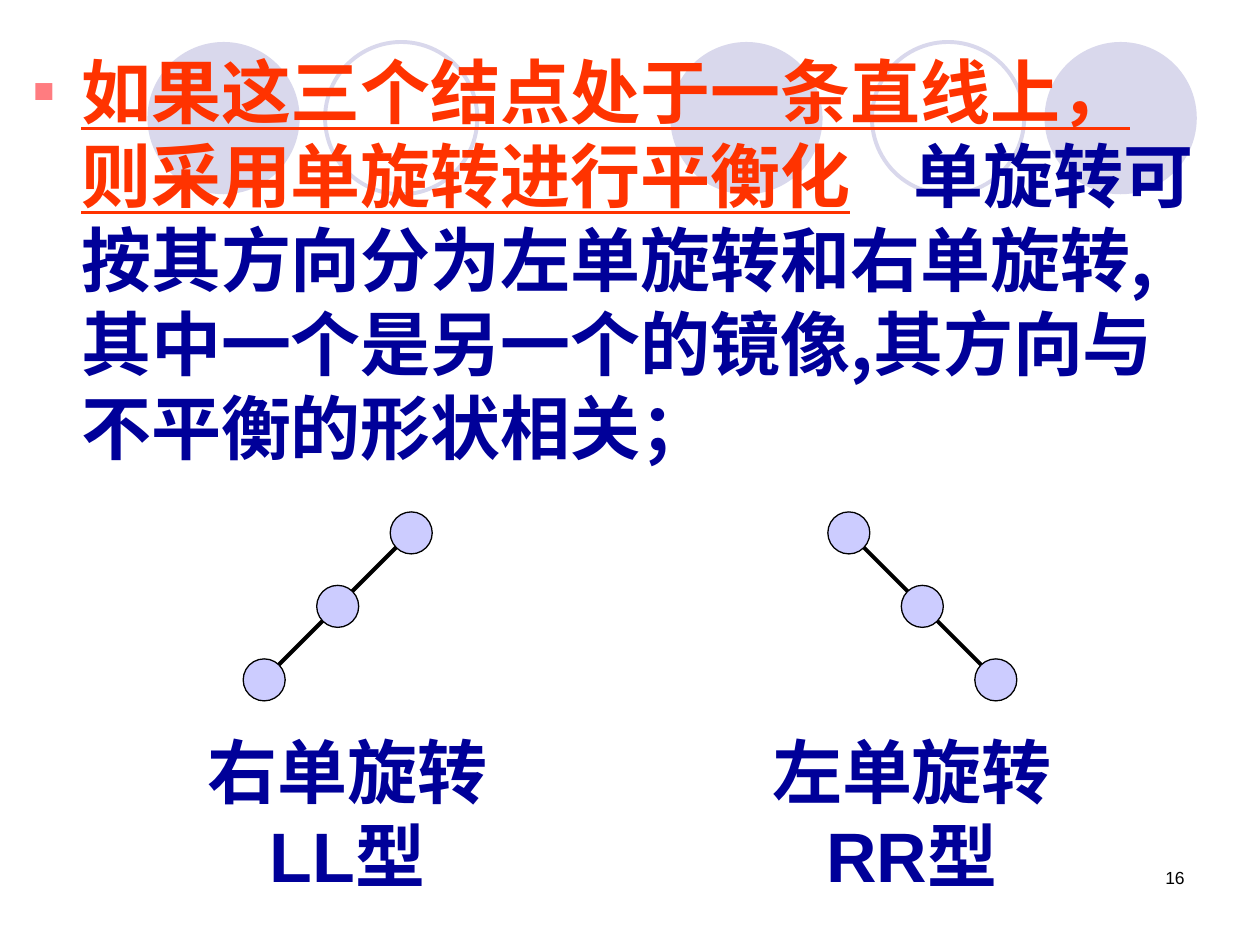
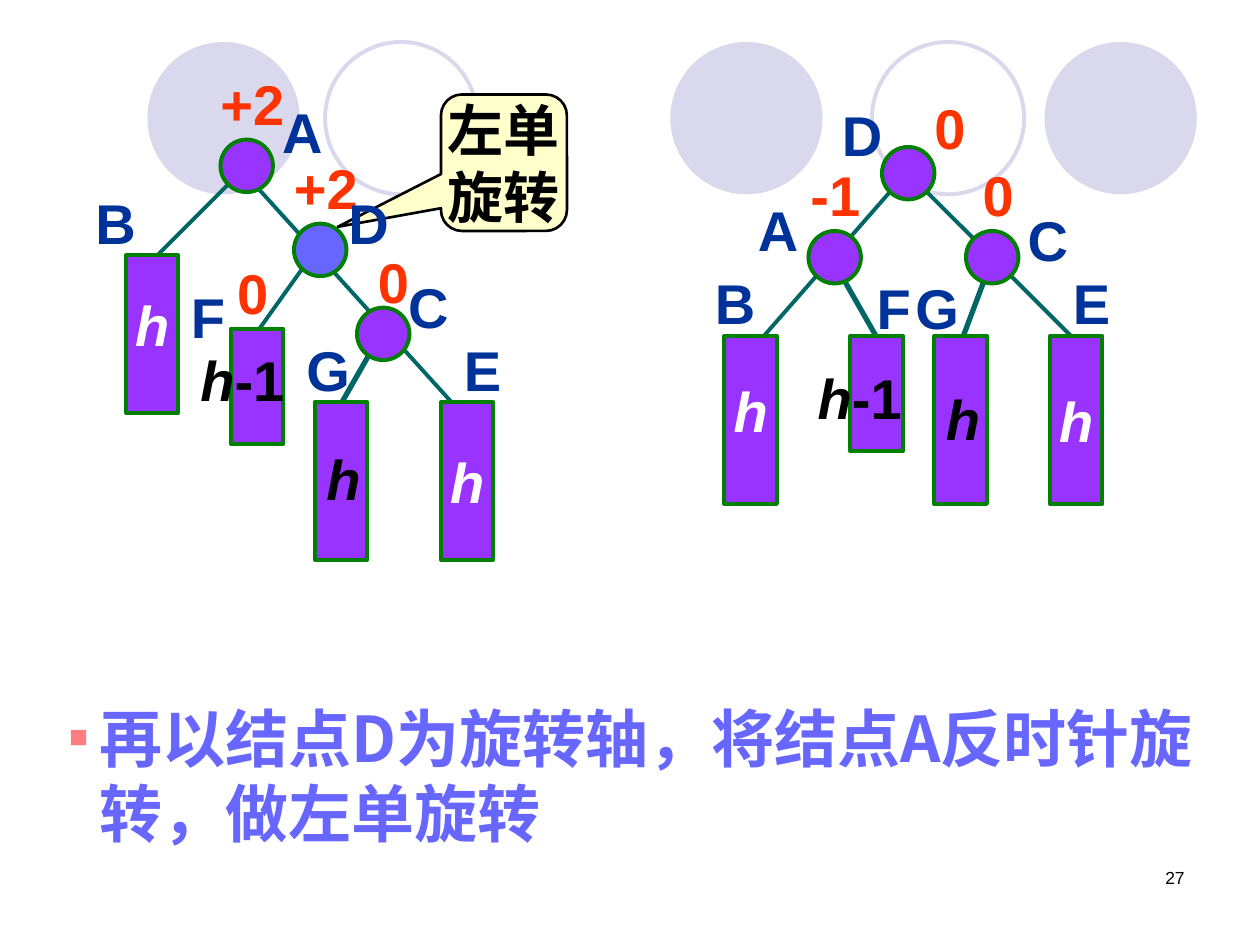
import pptx
import pptx.util
import pptx.dml.color
import pptx.enum.shapes
import pptx.enum.text
import pptx.oxml.ns
import lxml.etree

RGBColor = pptx.dml.color.RGBColor
SHAPE = pptx.enum.shapes.MSO_SHAPE
ALIGN = pptx.enum.text.PP_ALIGN
LAVENDER = RGBColor(0xD9, 0xD8, 0xEC)
NODE_LILAC = RGBColor(0xCC, 0xCC, 0xFF)
VIOLET = RGBColor(0x99, 0x33, 0xFF)
PERIWINKLE = RGBColor(0x67, 0x67, 0xFF)
GREEN = RGBColor(0x00, 0x80, 0x00)
TEAL = RGBColor(0x00, 0x66, 0x66)
RED = RGBColor(0xFF, 0x33, 0x00)
NAVY = RGBColor(0x00, 0x00, 0x99)
BLUE = RGBColor(0x00, 0x33, 0x99)
CREAM = RGBColor(0xFF, 0xFF, 0xCC)
PINK = RGBColor(0xFF, 0x7C, 0x80)
BLACK = RGBColor(0, 0, 0)
WHITE = RGBColor(0xFF, 0xFF, 0xFF)
LATIN = "Arial"
HAN = "Noto Sans CJK SC"
CELL = pptx.util.Inches(1) / 12


def add_shape(slide, kind, box, fill, line, width):
    shape = slide.shapes.add_shape(kind, *[round(v * CELL) for v in box])
    shape.shadow.inherit = False
    if fill is None:
        shape.fill.background()
    else:
        shape.fill.solid()
        shape.fill.fore_color.rgb = fill
    if line is None:
        shape.line.fill.background()
    else:
        shape.line.color.rgb = line
        shape.line.width = pptx.util.Pt(width)
    return shape


def write(holder, paragraphs, size, color, font=LATIN, bold=True, align=ALIGN.LEFT,
          wrap=False, bullet_indent=None, spacing=None):
    frame = holder.text_frame
    frame.word_wrap = wrap
    for index, runs in enumerate(paragraphs):
        paragraph = frame.paragraphs[0] if index == 0 else frame.add_paragraph()
        paragraph.alignment = align
        if spacing:
            paragraph.line_spacing = spacing
        if bullet_indent:
            props = paragraph._p.get_or_add_pPr()
            indent = pptx.util.Inches(bullet_indent)
            props.set("marL", str(indent))
            props.set("indent", str(-indent))
            for tag, child, value in (("buClr", "srgbClr", str(PINK)), ("buSzPct", None, "50000"),
                                      ("buFont", None, LATIN), ("buChar", None, "■")):
                mark = lxml.etree.SubElement(props, pptx.oxml.ns.qn("a:" + tag))
                if child:
                    mark = lxml.etree.SubElement(mark, pptx.oxml.ns.qn("a:" + child))
                mark.set({"buFont": "typeface", "buChar": "char"}.get(tag, "val"), value)
        for words, changes in runs:
            run = paragraph.add_run()
            run.text = words
            run.font.name = font
            run.font.size = pptx.util.Pt(changes.get("size", size))
            run.font.bold = bold
            run.font.italic = changes.get("italic", False)
            run.font.underline = changes.get("underline", False)
            run.font.color.rgb = changes.get("color", color)


deck = pptx.Presentation()
deck.slide_width = pptx.util.Inches(10)
deck.slide_height = pptx.util.Inches(7.5)
rule_slide, tree_slide = [deck.slides.add_slide(deck.slide_layouts[6]) for _ in range(2)]

for slide, number in ((rule_slide, "16"), (tree_slide, "27")):
    for left, filled in ((63.84, True), (99.48, True), (14.04, True), (83.04, False), (30.96, False)):
        add_shape(slide, SHAPE.OVAL, (left, 4, 14.5, 14.5),
                  LAVENDER if filled else None, None if filled else LAVENDER, 2.25)
    page = slide.shapes.add_textbox(*[round(v * CELL) for v in (86, 82, 28, 6)])
    write(page, [[(number, {})]], 10, BLACK, bold=False, align=ALIGN.RIGHT, wrap=True)

callout = add_shape(tree_slide, SHAPE.ROUNDED_RECTANGULAR_CALLOUT, (42, 9, 12, 13), CREAM, BLACK, 1.5)
callout.adjustments[0], callout.adjustments[1] = -1.32, 0.47
write(callout, [[("左单", {})], [("旋转", {})]], 32, BLACK, align=ALIGN.CENTER)

chains = [(38.16, -1, "右单旋转", "LL型", 18.6), (81.84, 1, "左单旋转", "RR型", 72.36)]
trees = [
    {"origin": (12, 13.3),
     "edges": [(10, 4, 1, 13, 2.25), (12, 4, 31, 25, 2.25), (17, 12, 12, 19, 2.25), (24, 19, 20, 26, 3)],
     "nodes": [(9, 0, VIOLET), (16, 8, PERIWINKLE), (22, 16, VIOLET)],
     "subtrees": [(0, 11, 15, 0.6), (10, 18, 11, None), (18, 25, 15, None), (30, 25, 15, 1)],
     "balances": [("0", 22.8, 9.7), ("0", 9.4, 10.7), ("+2", 7.8, -7.3), ("+2", 14.8, 0.7)],
     "names": [("A", 13.7, -4.6), ("B", -4.1, 4.1), ("C", 25.7, 12.1), ("D", 20, 4.1),
               ("E", 31, 18.1), ("F", 5, 13), ("G", 16, 18.1)],
     "heights": [("h-1", 5.9, 19), ("h", 17.9, 28.4)]},
    {"origin": (69, 14),
     "edges": [(25, 12, 22, 20, 3), (19, 4, 33, 18, 2.25), (16, 4, 2, 20, 2.25), (11, 12, 15, 19, 3)],
     "nodes": [(15, 0, VIOLET), (8, 8, VIOLET), (23, 8, VIOLET)],
     "subtrees": [(0, 18, 16, 0.6), (12, 18, 11, None), (20, 18, 16, None), (31, 18, 16, 1)],
     "balances": [("0", 18.8, -5.7), ("-1", 7, 0.7), ("0", 23.4, 0.7)],
     "names": [("A", 2, 4), ("B", -2.1, 11), ("C", 27.7, 5), ("D", 10, -5),
               ("E", 32, 11), ("F", 13.3, 11.5), ("G", 17, 11.5)],
     "heights": [("h-1", 7.7, 20), ("h", 19.9, 22)]},
]
label_widths = {"0": 5.4, "+2": 8.5, "-1": 8.5, "h-1": 12, "h": 5.6, "E": 5.9, "F": 5.6, "G": 6.5}

edges = [(rule_slide, BLACK, 2.25, (x, 51.7, x + 12 * way, 63.7)) for x, way, *_ in chains]
for tree in trees:
    left, top = tree["origin"]
    for x1, y1, x2, y2, width in tree["edges"]:
        edges.append((tree_slide, TEAL, width, (left + x1, top + y1, left + x2, top + y2)))
for slide, color, width, ends in edges:
    edge = slide.shapes.add_connector(pptx.enum.shapes.MSO_CONNECTOR.STRAIGHT,
                                      *[round(v * CELL) for v in ends])
    edge.line.color.rgb = color
    edge.line.width = pptx.util.Pt(width)
    lxml.etree.SubElement(edge._element.spPr, pptx.oxml.ns.qn("a:effectLst"))

rule = rule_slide.shapes.add_textbox(*[round(v * CELL) for v in (2, 4, 113, 44)])
write(rule, [[
    ("如果这三个结点处于一条直线上，则采用单旋转进行平衡化", {"color": RED, "underline": True}),
    ("　", {"size": 36}),
    ("单旋转可按其方向分为左单旋转和右单旋转, 其中一个是另一个的镜像,其方向与不平衡的形状相关；", {}),
]], 40, NAVY, font=HAN, wrap=True, bullet_indent=0.38)

for x, way, rotation, case, caption_left in chains:
    for step in range(3):
        add_shape(rule_slide, SHAPE.OVAL, (x + way * (7 * step - 1) - 2, 48.75 + 7 * step, 4, 4),
                  NODE_LILAC, BLACK, 0.75)
    caption = rule_slide.shapes.add_textbox(*[round(v * CELL) for v in (caption_left, 68.75, 29, 17.3)])
    write(caption, [[(rotation, {})], [(case, {})]], 40, NAVY, align=ALIGN.CENTER)

for tree in trees:
    left, top = tree["origin"]
    for x, y, fill in tree["nodes"]:
        add_shape(tree_slide, SHAPE.OVAL, (left + x, top + y, 5, 5), fill, GREEN, 2.25)
    for x, y, height, spacing in tree["subtrees"]:
        subtree = add_shape(tree_slide, SHAPE.RECTANGLE, (left + x, top + y, 5, height), VIOLET, GREEN, 2.25)
        if spacing:
            write(subtree, [[("h", {"italic": True})]], 32, WHITE, align=ALIGN.CENTER, spacing=spacing)
    for group, color in (("balances", RED), ("names", BLUE), ("heights", BLACK)):
        for words, x, y in tree[group]:
            box = (left + x, top + y, label_widths.get(words, 6.2), 7.7)
            label = tree_slide.shapes.add_textbox(*[round(v * CELL) for v in box])
            runs = [("h", {"italic": True}), ("-1", {})] if words == "h-1" else [
                (words, {"italic": group == "heights"})]
            write(label, [runs], 32, color, wrap=words == "h-1")

step_note = tree_slide.shapes.add_textbox(*[round(v * CELL) for v in (5.4, 66, 109.6, 15.6)])
write(step_note, [[("再以结点D为旋转轴，将结点A反时针旋转，做左单旋转", {})]], 36, PERIWINKLE,
      font=HAN, wrap=True, bullet_indent=0.24)

deck.save("out.pptx")
